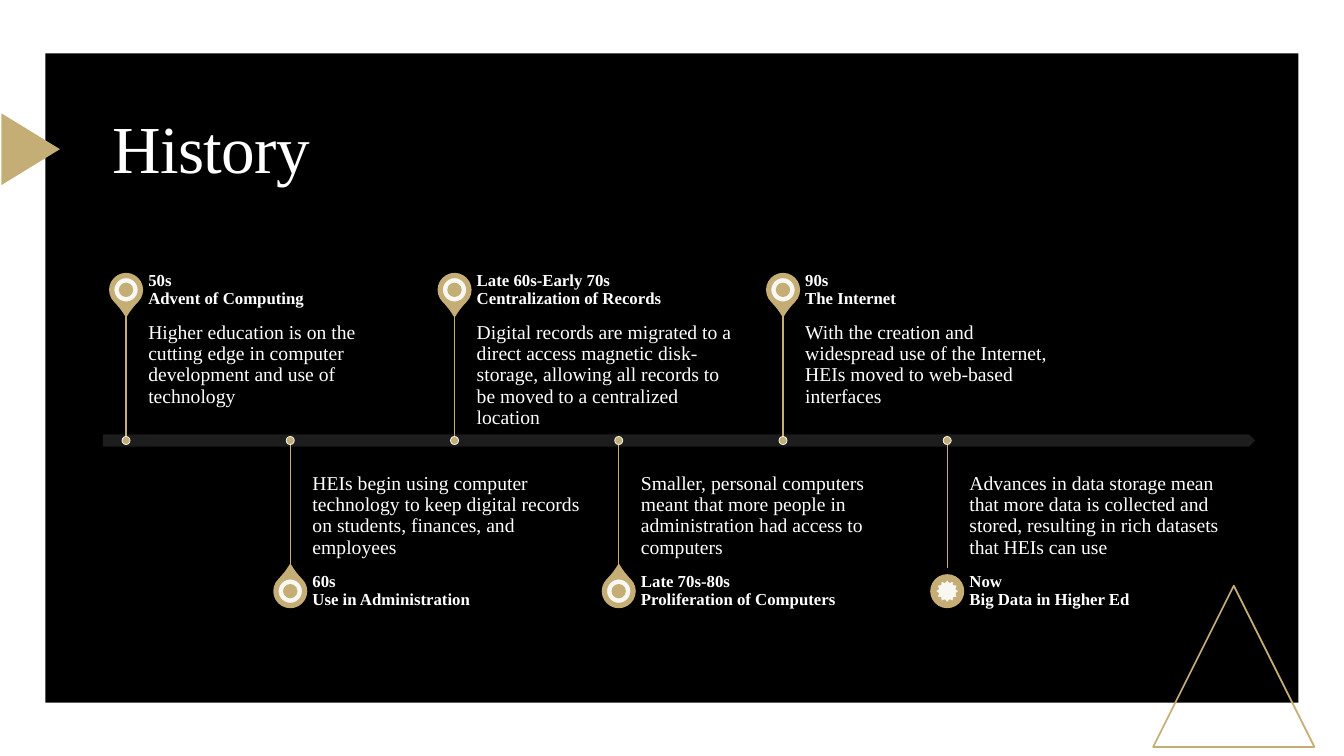
from pptx import Presentation
from pptx.dml.color import RGBColor
from pptx.enum.shapes import MSO_CONNECTOR, MSO_SHAPE as Shape
from pptx.enum.text import MSO_ANCHOR as Anchor
from pptx.oxml.ns import qn
from pptx.util import Inches, Pt
from lxml.etree import SubElement

BLACK = RGBColor(0x00, 0x00, 0x00)
WHITE = RGBColor(0xFF, 0xFF, 0xFF)
GOLD = RGBColor(0xC4, 0xAE, 0x75)
CHARCOAL = RGBColor(0x21, 0x21, 0x21)

# Horizontal places are percent of the slide width, vertical ones of its height.
CONTENT_LEFT, CONTENT_WIDTH = 7.65, 85.73
FIRST_EVENT, EVENT_STEP = 9.38, 12.22
AXIS = 58.27
AXIS_HEIGHT = 1.6
STEM = 16.93
HEADING_HEIGHT = 6
TEXT_GAP, TEXT_WIDTH = 1.65, 20.33
PIN, BADGE, DOT = 4.27, 3.33, 1.07

EVENTS = [
    ("50s", "Advent of Computing",
     "Higher education is on the cutting edge in computer development and use of technology"),
    ("60s", "Use in Administration",
     "HEIs begin using computer technology to keep digital records on students, "
     "finances, and employees"),
    ("Late 60s-Early 70s", "Centralization of Records",
     "Digital records are migrated to a direct access magnetic disk-storage, "
     "allowing all records to be moved to a centralized location"),
    ("Late 70s-80s", "Proliferation of Computers",
     "Smaller, personal computers meant that more people in administration "
     "had access to computers"),
    ("90s", "The Internet",
     "With the creation and widespread use of the Internet, HEIs moved to web-based interfaces"),
    ("Now", "Big Data in Higher Ed",
     "Advances in data storage mean that more data is collected and stored, "
     "resulting in rich datasets that HEIs can use"),
]


class TimelineSlide:
    font = "Times New Roman"
    line_spacing = 0.9

    def __init__(self, deck):
        self.width, self.height = deck.slide_width, deck.slide_height
        self.slide = deck.slides.add_slide(deck.slide_layouts[6])

    def x(self, percent):
        return round(self.width * percent / 100)

    def y(self, percent):
        return round(self.height * percent / 100)

    def frame(self, left, top, width, height):
        return self.x(left), self.y(top), self.x(width), self.y(height)

    def shape(self, kind, frame, fill=None, line=None, weight=1.25, rotation=0, opacity=100):
        shape = self.slide.shapes.add_shape(kind, *frame)
        shape.shadow.inherit = False
        shape.rotation = rotation
        if fill is None:
            shape.fill.background()
        else:
            shape.fill.solid()
            shape.fill.fore_color.rgb = fill
        if opacity < 100:
            color = shape.fill._xPr.find(qn("a:solidFill"))[0]
            SubElement(color, qn("a:alpha"), val=str(opacity * 1000))
        if line is None:
            shape.line.fill.background()
        else:
            shape.line.color.rgb = line
            shape.line.width = Pt(weight)
        return shape

    def marker(self, kind, center_x, center_y, size, fill, line, **style):
        """Draw a square-framed shape around a point; size is a share of the height."""
        side = self.y(size)
        frame = (self.x(center_x) - side // 2, self.y(center_y) - side // 2, side, side)
        return self.shape(kind, frame, fill, line, **style)

    def stem(self, x, start, end):
        stem = self.slide.shapes.add_connector(
            MSO_CONNECTOR.STRAIGHT, self.x(x), self.y(start), self.x(x), self.y(end))
        stem.line.color.rgb = GOLD
        stem.line.width = Pt(1)
        SubElement(stem._element.spPr, qn("a:effectLst"))

    def text(self, words, frame, size, anchor, insets, bold=False, tracking=None):
        box = self.slide.shapes.add_textbox(*frame).text_frame
        box.word_wrap = True
        box.vertical_anchor = anchor
        box.margin_left, box.margin_top, box.margin_right, box.margin_bottom = map(Inches, insets)
        paragraph = box.paragraphs[0]
        paragraph.text = words
        paragraph.line_spacing = self.line_spacing
        for run in paragraph.runs:
            run.font.name = self.font
            run.font.size = Pt(size)
            run.font.bold = bold
            run.font.color.rgb = WHITE
            if tracking is not None:
                run.font._element.set("spc", str(tracking))

    def event(self, index, period, topic, story, is_last):
        x = FIRST_EVENT + index * EVENT_STEP
        above = index % 2 == 0
        stem_end = AXIS - STEM if above else AXIS + STEM
        heading_top = stem_end - HEADING_HEIGHT if above else stem_end
        pin_y = heading_top + HEADING_HEIGHT / 2

        pin = self.marker(Shape.OVAL if is_last else Shape.TEAR, x, pin_y, PIN, GOLD, GOLD,
                          rotation=135 if above else 315)
        if not is_last:
            pin.adjustments[0] = 1.15
        self.marker(Shape.STAR_12_POINT if is_last else Shape.DONUT, x, pin_y, BADGE,
                    WHITE, GOLD, opacity=90)
        self.text(story, self.frame(x + TEXT_GAP, min(AXIS, stem_end), TEXT_WIDTH, STEM), 14,
                  Anchor.TOP if above else Anchor.BOTTOM,
                  (0, 0.1, 0.1, 0.15) if above else (0, 0.15, 0, 0.1))
        self.text(f"{period}\n{topic}",
                  self.frame(x + TEXT_GAP, heading_top, TEXT_WIDTH, HEADING_HEIGHT), 12,
                  Anchor.MIDDLE, (0, 0, 0.08, 0), bold=True)
        self.stem(x, stem_end, AXIS)
        self.marker(Shape.OVAL, x, AXIS, DOT, GOLD, WHITE, weight=0.5)


def main():
    deck = Presentation()
    deck.slide_width, deck.slide_height = Inches(13.33), Inches(7.5)
    history = TimelineSlide(deck)

    history.shape(Shape.RECTANGLE, history.frame(3.38, 7.07, 93.23, 85.87), BLACK)
    history.shape(Shape.ISOSCELES_TRIANGLE, history.frame(85.8, 77.47, 12, 21.33), line=GOLD)
    history.shape(Shape.ISOSCELES_TRIANGLE, history.frame(-0.38, 15.87, 5.33, 7.73), GOLD,
                  rotation=90)
    history.shape(Shape.PENTAGON,
                  history.frame(CONTENT_LEFT, AXIS - AXIS_HEIGHT / 2, CONTENT_WIDTH, AXIS_HEIGHT),
                  CHARCOAL, opacity=90)
    for index, (period, topic, story) in enumerate(EVENTS):
        history.event(index, period, topic, story, is_last=index == len(EVENTS) - 1)
    history.text("History", history.frame(CONTENT_LEFT, 13.47, CONTENT_WIDTH, 13.33), 48,
                 Anchor.MIDDLE, (0.1, 0.05, 0.1, 0.05), tracking=-50)

    deck.save("out.pptx")


if __name__ == "__main__":
    main()
